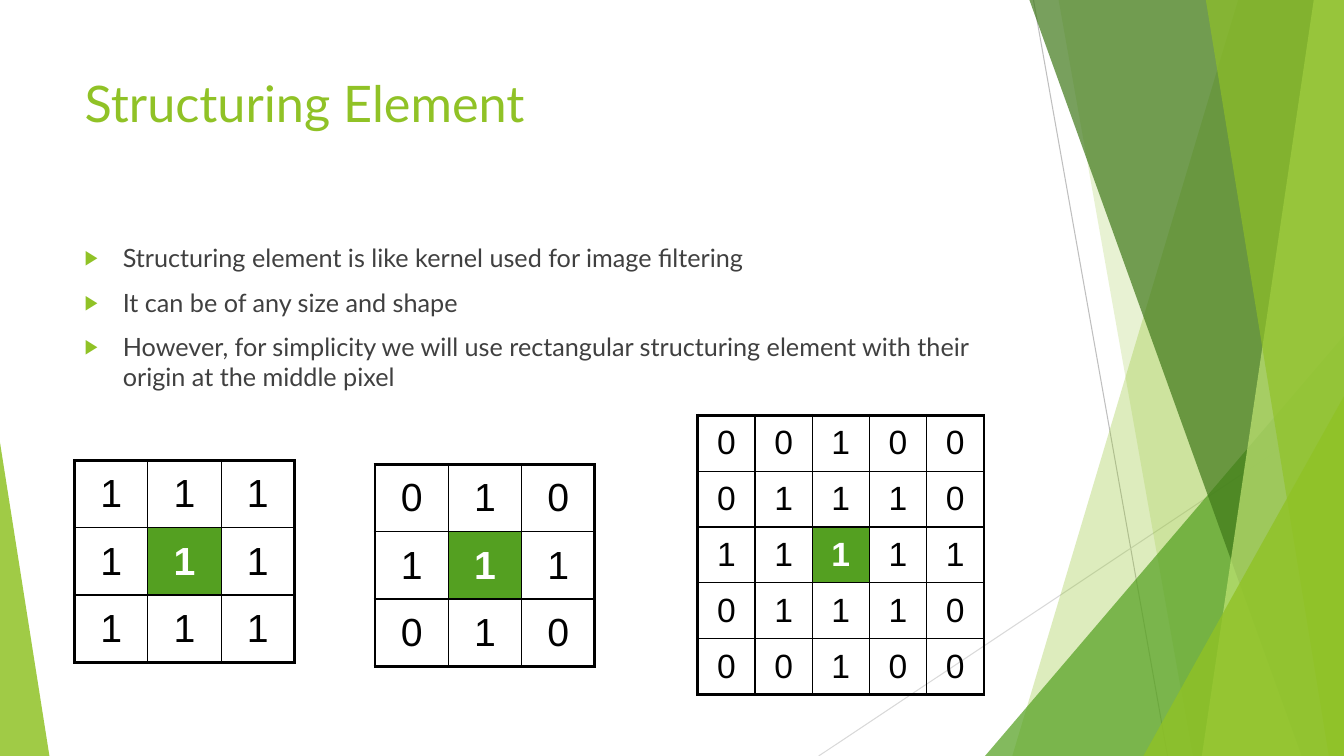
from lxml.etree import SubElement
from pptx import Presentation
from pptx.dml.color import RGBColor
from pptx.enum.shapes import MSO_CONNECTOR as Connector, MSO_SHAPE as Shape
from pptx.enum.text import MSO_ANCHOR as Anchor, PP_ALIGN as Align
from pptx.oxml.ns import qn
from pptx.util import Inches, Pt

LIME = RGBColor(0x90, 0xC2, 0x26)
GREEN = RGBColor(0x54, 0xA0, 0x21)
FOREST = RGBColor(0x3F, 0x78, 0x19)
PALE_LIME = RGBColor(0xC0, 0xE4, 0x74)
GREY = RGBColor(0xBF, 0xBF, 0xBF)
LIGHT_GREY = RGBColor(0xD9, 0xD9, 0xD9)
TEXT_GREY = RGBColor(0x40, 0x40, 0x40)
BLACK = RGBColor(0, 0, 0)
WHITE = RGBColor(0xFF, 0xFF, 0xFF)

WIDTH, HEIGHT = 13.33, 7.5
MARGIN, TEXT_WIDTH = 0.74, 9.4
TEXT_FONT, NUMBER_FONT = "Lato", "Arial"
THICK, THIN = 2.25, 1

TITLE = "Structuring Element"
BULLETS = [
    "Structuring element is like kernel used for image filtering",
    "It can be of any size and shape",
    "However, for simplicity we will use rectangular structuring element "
    "with their origin at the middle pixel",
]
# left, top, side lengths, text size, rows of values
KERNELS = [
    (0.74, 4.57, 2.18, 2.0, 28, ["111", "111", "111"]),
    (3.72, 4.61, 2.18, 2.0, 28, ["010", "111", "010"]),
    (6.92, 4.12, 2.84, 2.77, 24, ["00100", "01110", "11111", "01110", "00100"]),
]
# start, end, colour
HAIRLINES = [
    ((10.25, 0), (11.58, HEIGHT), GREY),
    ((WIDTH, 4.03), (8.12, HEIGHT), LIGHT_GREY),
]
# Bands reach the right edge: ("band", x at top, x at bottom, colour, opacity %)
# Wedges stand on the bottom edge: ("wedge", left, right, top, apex share, colour, opacity %)
FACETS = [
    ("band", 12.28, 10.04, LIME, 30),
    ("band", 10.5, 11.83, LIME, 20),
    ("wedge", 9.77, WIDTH, 3.33, 1, GREEN, 72),
    ("band", 10.21, 12.91, FOREST, 70),
    ("band", 13.03, 11.92, PALE_LIME, 70),
    ("band", 11.96, 13.18, LIME, 65),
    ("wedge", 11.34, WIDTH, 3.93, 1, LIME, 80),
    ("wedge", 0, 0.49, 4.39, 0, LIME, 85),
]


def add_hairline(page, start, end, color):
    line = page.shapes.add_connector(
        Connector.STRAIGHT, *(Inches(v) for v in start + end))
    line.line.color.rgb = color
    line.line.width = Pt(0.75)
    SubElement(line._element.spPr, qn("a:effectLst"))


def add_facet(page, kind, *details):
    *geometry, color, opacity = details
    if kind == "band":
        top_x, bottom_x = geometry
        builder = page.shapes.build_freeform(Inches(top_x), 0, scale=1.0)
        corners = [(WIDTH, 0), (WIDTH, HEIGHT), (bottom_x, HEIGHT)]
        builder.add_line_segments([(Inches(x), Inches(y)) for x, y in corners])
        facet = builder.convert_to_shape()
    else:
        left, right, top, apex = geometry
        facet = page.shapes.add_shape(
            Shape.ISOSCELES_TRIANGLE, Inches(left), Inches(top),
            Inches(right - left), Inches(HEIGHT - top))
        facet.adjustments[0] = apex
    facet.shadow.inherit = False
    facet.line.fill.background()
    facet.fill.solid()
    facet.fill.fore_color.rgb = color
    tint = facet._element.spPr.find(qn("a:solidFill"))[0]
    SubElement(tint, qn("a:alpha"), val=str(opacity * 1000))


def add_span(para, text, font, size, color, bold=False):
    span = para.add_run()
    span.text = text
    span.font.name = font
    span.font.size = Pt(size)
    span.font.color.rgb = color
    span.font.bold = bold


def add_title(page):
    title = page.shapes.title
    title.left, title.top = Inches(MARGIN), Inches(0.67)
    title.width, title.height = Inches(TEXT_WIDTH), Inches(1.44)
    title.text_frame.vertical_anchor = Anchor.TOP
    para = title.text_frame.paragraphs[0]
    para.alignment = Align.LEFT
    add_span(para, TITLE, TEXT_FONT, 36, LIME)


def add_bullets(page):
    box = page.shapes.add_textbox(
        Inches(MARGIN), Inches(2.36), Inches(TEXT_WIDTH), Inches(1.76))
    frame = box.text_frame
    frame.word_wrap = True
    for index, text in enumerate(BULLETS):
        para = frame.add_paragraph() if index else frame.paragraphs[0]
        props = para._p.get_or_add_pPr()
        props.set("marL", str(Inches(0.38)))
        props.set("indent", str(-Inches(0.38)))
        bullet_color = SubElement(props, qn("a:buClr"))
        SubElement(bullet_color, qn("a:srgbClr"), val=str(LIME))
        SubElement(props, qn("a:buSzPct"), val="80000")
        SubElement(props, qn("a:buFont"), typeface=NUMBER_FONT)
        SubElement(props, qn("a:buChar"), char="▶")
        if index:
            para.space_before = Pt(10)
        add_span(para, text, TEXT_FONT, 18, TEXT_GREY)


def set_borders(cell, row, column, last):
    props = cell._tc.get_or_add_tcPr()
    outer = {"L": column == 0, "R": column == last, "T": row == 0, "B": row == last}
    for side, is_outer in outer.items():
        width = Pt(THICK if is_outer else THIN)
        border = SubElement(props, qn(f"a:ln{side}"), w=str(width))
        fill = SubElement(border, qn("a:solidFill"))
        SubElement(fill, qn("a:srgbClr"), val=str(BLACK))


def add_kernel(page, left, top, width, height, size, values):
    """Add a square grid of numbers with its middle cell as the origin."""
    count = len(values)
    table = page.shapes.add_table(
        count, count, Inches(left), Inches(top), Inches(width), Inches(height)).table
    table.first_row = table.horz_banding = False
    for row, digits in enumerate(values):
        for column, digit in enumerate(digits):
            cell = table.cell(row, column)
            is_origin = row == column == count // 2
            cell.vertical_anchor = Anchor.MIDDLE
            set_borders(cell, row, column, count - 1)
            if is_origin:
                cell.fill.solid()
                cell.fill.fore_color.rgb = GREEN
            else:
                cell.fill.background()
            para = cell.text_frame.paragraphs[0]
            para.alignment = Align.CENTER
            add_span(para, digit, NUMBER_FONT, size,
                     WHITE if is_origin else BLACK, is_origin)


def main():
    deck = Presentation()
    deck.slide_width, deck.slide_height = Inches(WIDTH), Inches(HEIGHT)
    page = deck.slides.add_slide(deck.slide_layouts[5])
    for hairline in HAIRLINES:
        add_hairline(page, *hairline)
    for facet in FACETS:
        add_facet(page, *facet)
    add_title(page)
    add_bullets(page)
    for kernel in KERNELS:
        add_kernel(page, *kernel)
    deck.save("out.pptx")


if __name__ == "__main__":
    main()
